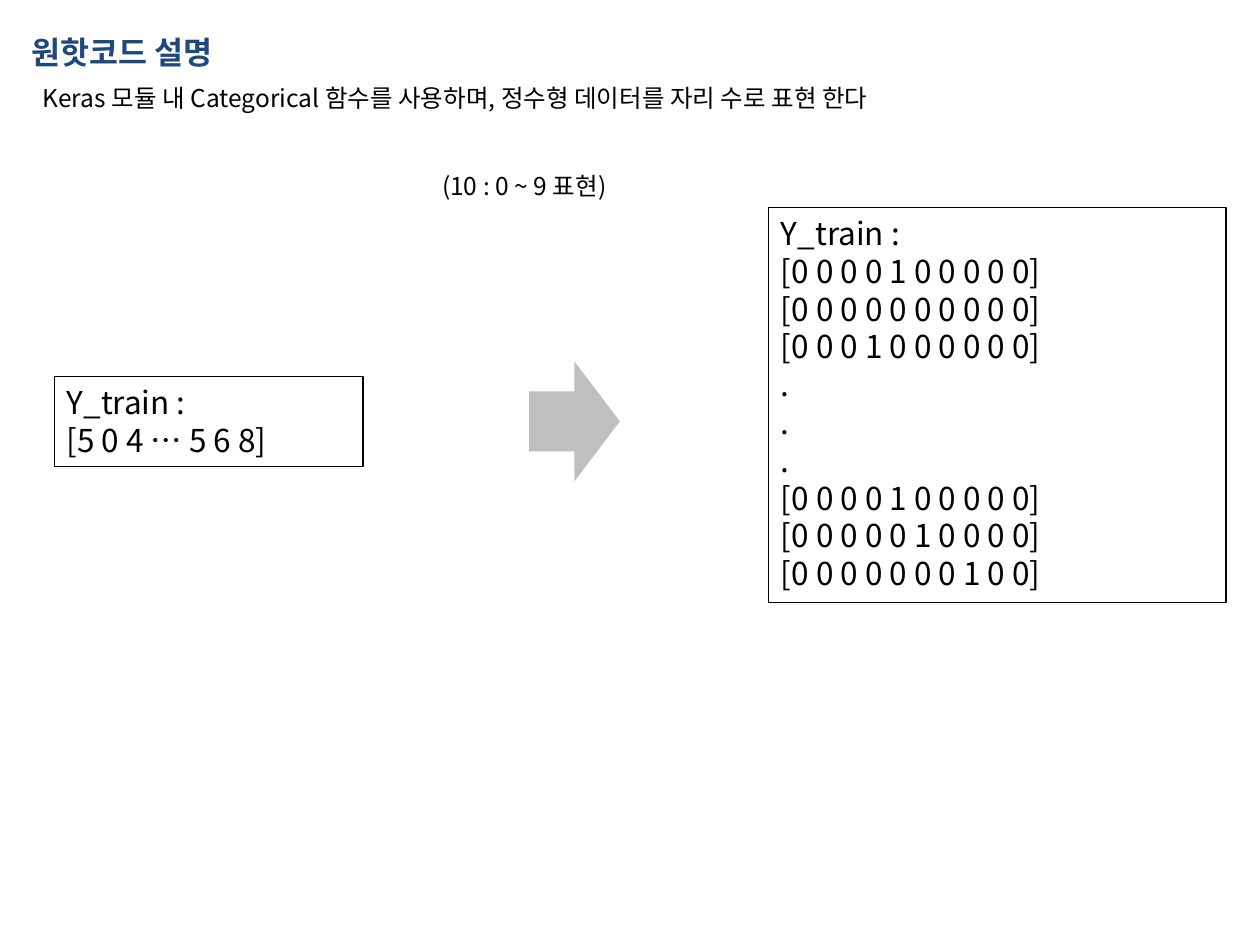
from pptx import Presentation
from pptx.dml.color import RGBColor
from pptx.enum.shapes import MSO_SHAPE
from pptx.enum.text import MSO_ANCHOR, PP_ALIGN
from pptx.util import Pt

RECTANGLE = MSO_SHAPE.RECTANGLE
RIGHT_ARROW = MSO_SHAPE.RIGHT_ARROW
TOP = MSO_ANCHOR.TOP
LEFT = PP_ALIGN.LEFT

BLACK = RGBColor(0x00, 0x00, 0x00)
NAVY = RGBColor(0x1F, 0x49, 0x7D)
GRAY = RGBColor(0xBF, 0xBF, 0xBF)

CLASS_COUNT = 10
LABEL = "Y_train :"


class SlideBuilder:
    font_name = "Noto Sans CJK KR"
    large = 18
    small = 14

    def __init__(self, page):
        self.page = page

    def set_text(self, shape, text, size, color=BLACK, bold=False):
        frame = shape.text_frame
        frame.text = text
        frame.word_wrap = True
        frame.vertical_anchor = TOP
        frame.margin_left = frame.margin_right = Pt(7.2)
        frame.margin_top = frame.margin_bottom = Pt(3.6)
        for para in frame.paragraphs:
            para.alignment = LEFT
            for span in para.runs:
                span.font.name = self.font_name
                span.font.size = Pt(size)
                span.font.bold = bold
                span.font.color.rgb = color

    def title(self, text, left, top, width, height):
        title = self.page.shapes.title
        title.left, title.top = Pt(left), Pt(top)
        title.width, title.height = Pt(width), Pt(height)
        self.set_text(title, text, self.large, NAVY, bold=True)

    def text(self, text, left, top, width, height):
        box = self.page.shapes.add_textbox(Pt(left), Pt(top), Pt(width), Pt(height))
        self.set_text(box, text, self.small)

    def shape(self, kind, left, top, width, height):
        shape = self.page.shapes.add_shape(
            kind, Pt(left), Pt(top), Pt(width), Pt(height)
        )
        shape.shadow.inherit = False
        return shape

    def data_box(self, lines, left, top, width, height):
        box = self.shape(RECTANGLE, left, top, width, height)
        box.fill.background()
        box.line.color.rgb = BLACK
        box.line.width = Pt(0.75)
        self.set_text(box, "\n".join(lines), self.large)

    def arrow(self, left, top, width, height):
        arrow = self.shape(RIGHT_ARROW, left, top, width, height)
        arrow.fill.solid()
        arrow.fill.fore_color.rgb = GRAY
        arrow.line.fill.background()


def one_hot(position=None):
    digits = ["1" if index == position else "0" for index in range(CLASS_COUNT)]
    return f"[{' '.join(digits)}]"


def main():
    deck = Presentation()
    deck.slide_width, deck.slide_height = Pt(720), Pt(540)
    page = deck.slides.add_slide(deck.slide_layouts[5])
    builder = SlideBuilder(page)

    builder.title("원핫코드 설명", 10.8, 15.1, 229.7, 28.8)
    builder.text(
        "Keras 모듈 내 Categorical 함수를 사용하며, 정수형 데이터를 자리 수로 표현 한다",
        17.3, 43.9, 552.2, 24.5,
    )
    builder.text("(10 : 0 ~ 9 표현)", 245.5, 94.3, 176.4, 24.5)

    builder.data_box([LABEL, "[5 0 4 … 5 6 8]"], 31, 215.3, 176.4, 51.1)
    builder.arrow(302.4, 206.6, 51.8, 68.4)
    first_rows = [one_hot(position) for position in (4, None, 3)]
    last_rows = [one_hot(position) for position in (4, 5, 7)]
    builder.data_box(
        [LABEL, *first_rows, *["."] * 3, *last_rows], 439.2, 118.8, 261.4, 225.4
    )

    deck.save("out.pptx")


if __name__ == "__main__":
    main()
